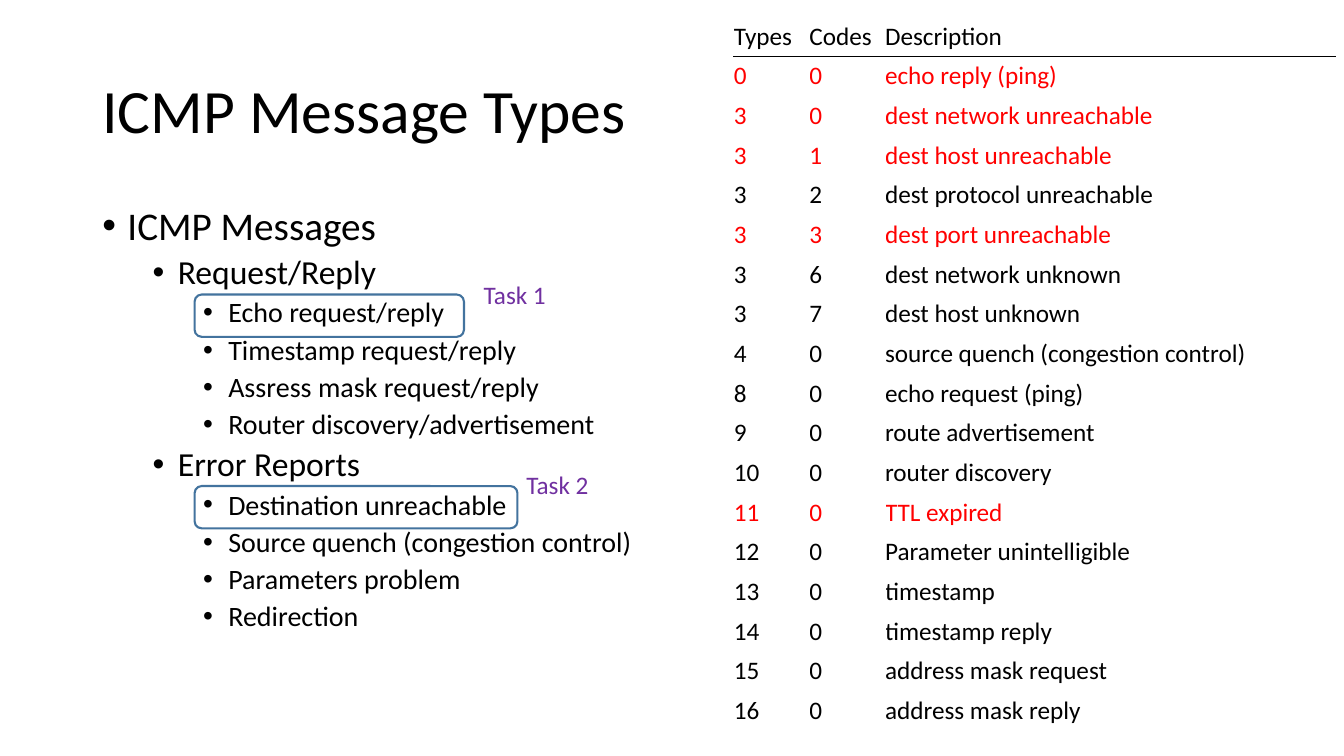
from pptx import Presentation
from pptx.dml.color import RGBColor
from pptx.enum.shapes import MSO_SHAPE
from pptx.enum.text import MSO_ANCHOR, MSO_AUTO_SIZE, PP_ALIGN
from pptx.oxml.ns import qn
from pptx.util import Pt
from lxml import etree

ROUND = MSO_SHAPE.ROUNDED_RECTANGLE
MIDDLE = MSO_ANCHOR.MIDDLE
LEFT = PP_ALIGN.LEFT
FIXED = MSO_AUTO_SIZE.NONE
BLACK, WHITE, RED, PURPLE, BLUE = "000000", "FFFFFF", "FF0000", "7030A0", "43739E"


def color(code):
    return RGBColor.from_string(code)


def style(para, size, code=BLACK):
    para.alignment = LEFT
    para.font.name = "Calibri"
    para.font.size = Pt(size)
    para.font.color.rgb = color(code)


deck = Presentation()
deck.slide_width, deck.slide_height = Pt(960), Pt(540)
slide = deck.slides.add_slide(deck.slide_layouts[5])
shapes = slide.shapes

# Title
title = shapes.title
title.left, title.top, title.width, title.height = Pt(66), Pt(28.75), Pt(828), Pt(104.4)
frame = title.text_frame
frame.text = "ICMP Message Types"
frame.auto_size = FIXED
frame.vertical_anchor = MIDDLE
frame.paragraphs[0].line_spacing = 0.9
style(frame.paragraphs[0], 44)

# Bulleted outline: level, text
outline = [
    (0, "ICMP Messages"),
    (1, "Request/Reply"),
    (2, "Echo request/reply"),
    (2, "Timestamp request/reply"),
    (2, "Assress mask request/reply"),
    (2, "Router discovery/advertisement"),
    (1, "Error Reports"),
    (2, "Destination unreachable"),
    (2, "Source quench (congestion control)"),
    (2, "Parameters problem"),
    (2, "Redirection"),
]
frame = shapes.add_textbox(Pt(66), Pt(143.75), Pt(828), Pt(342.6)).text_frame
frame.word_wrap = True
for i, (level, text) in enumerate(outline):
    para = frame.add_paragraph() if i else frame.paragraphs[0]
    para.text = text
    para.level = level
    para.line_spacing = 0.9
    para.space_before = Pt(5 if level else 10)
    style(para, 28 - 4 * level)
    props = para._p.get_or_add_pPr()
    props.set("marL", str(Pt(18 + 36 * level)))
    props.set("indent", str(Pt(-18)))
    etree.SubElement(props, qn("a:buFont"), typeface="Arial")
    etree.SubElement(props, qn("a:buChar"), char="•")

# Table of types, codes and descriptions
rows = [
    ("Types", "Codes", "Description"),
    ("0", "0", "echo reply (ping)"),
    ("3", "0", "dest network unreachable"),
    ("3", "1", "dest host unreachable"),
    ("3", "2", "dest protocol unreachable"),
    ("3", "3", "dest port unreachable"),
    ("3", "6", "dest network unknown"),
    ("3", "7", "dest host unknown"),
    ("4", "0", "source quench (congestion control)"),
    ("8", "0", "echo request (ping)"),
    ("9", "0", "route advertisement"),
    ("10", "0", "router discovery"),
    ("11", "0", "TTL expired"),
    ("12", "0", "Parameter unintelligible"),
    ("13", "0", "timestamp"),
    ("14", "0", "timestamp reply"),
    ("15", "0", "address mask request"),
    ("16", "0", "address mask reply"),
]
marked = {1, 2, 3, 5, 12}
table = shapes.add_table(len(rows), 3, Pt(524.2), Pt(11.8), Pt(430), Pt(510.5)).table
table.first_row = table.horz_banding = False
for column, width in zip(table.columns, (54, 54, 322)):
    column.width = Pt(width)
for r, row in enumerate(rows):
    table.rows[r].height = Pt(28.36)
    for c, text in enumerate(row):
        cell = table.cell(r, c)
        cell.text = text
        cell.vertical_anchor = MIDDLE
        cell.margin_left = cell.margin_right = cell.margin_top = cell.margin_bottom = 0
        style(cell.text_frame.paragraphs[0], 18, RED if r in marked else BLACK)
        props = cell._tc.get_or_add_tcPr()
        for side in "LRTB":
            rule = (r, side) in ((0, "B"), (1, "T"))
            line = etree.SubElement(props, qn("a:ln" + side), w=str(Pt(1)))
            fill = etree.SubElement(line, qn("a:solidFill"))
            etree.SubElement(fill, qn("a:srgbClr"), val=BLACK if rule else WHITE)
        cell.fill.background()

# Task frames and labels: frame top and width, label text, left and top
tasks = [
    (210.4, 192.4, "Task 1", 338.4, 195.7),
    (347.2, 230.6, "Task 2", 368.9, 331.5),
]
for top, width, text, left, high in tasks:
    box = shapes.add_shape(ROUND, Pt(139), Pt(top), Pt(width), Pt(30.2))
    box.shadow.inherit = False
    box.fill.background()
    box.line.color.rgb = color(BLUE)
    box.line.width = Pt(1.5)
    label = shapes.add_textbox(Pt(left), Pt(high), Pt(59), Pt(29))
    label.text_frame.text = text
    style(label.text_frame.paragraphs[0], 18, PURPLE)

deck.save("out.pptx")
